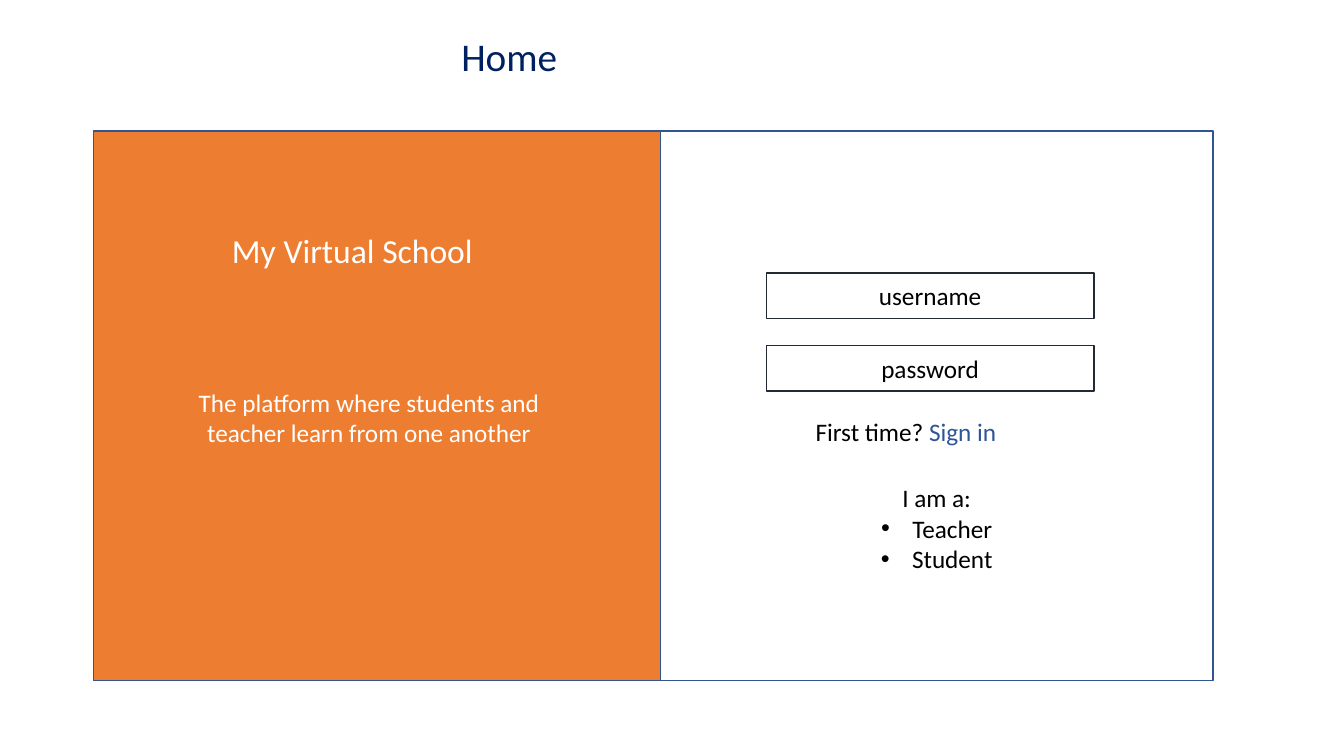
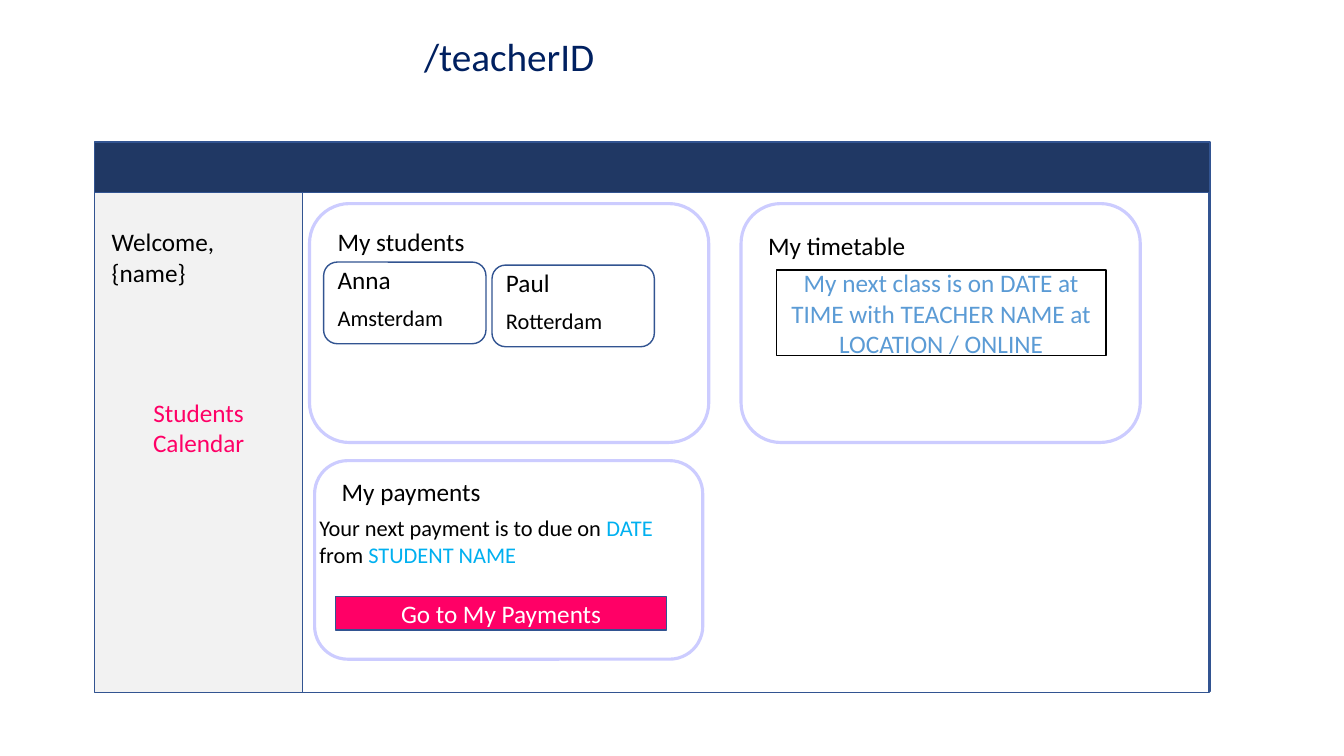
import pptx
import pptx.util
import pptx.dml.color
import pptx.enum.shapes
import pptx.enum.text
import lxml.etree

Inches = pptx.util.Inches
Pt = pptx.util.Pt
KIND = pptx.enum.shapes.MSO_SHAPE
ALIGN = pptx.enum.text.PP_ALIGN
ANCHOR = pptx.enum.text.MSO_ANCHOR

FONT = "Calibri"
COLORS = {
    "title": "002060", "edge": "325491", "orange": "ED7D31",
    "white": "FFFFFF", "black": "000000", "field": "222A35",
    "link": "2F5597", "navy": "203864", "side": "F2F2F2",
    "pink": "FF0066", "lilac": "CCCCFF", "note": "5B9BD5",
    "cyan": "00B0F0",
}


def color(name):
    return pptx.dml.color.RGBColor.from_string(COLORS[name])


def write(frame, lines, size=18, ink="black", align=ALIGN.LEFT):
    frame.word_wrap = True
    for i, line in enumerate(lines):
        para = frame.paragraphs[0] if i == 0 else frame.add_paragraph()
        para.alignment = align
        parts = [(line, ink)] if isinstance(line, str) else line
        for words, tint in parts:
            run = para.add_run()
            run.text = words
            run.font.name = FONT
            run.font.size = Pt(size)
            run.font.color.rgb = color(tint)


def label(slide, at, *lines, **style):
    box = slide.shapes.add_textbox(*map(Inches, at))
    write(box.text_frame, lines, **style)
    return box


def block(slide, at, *lines, fill="white", line="edge", width=1,
          kind=KIND.RECTANGLE, ink="black"):
    shape = slide.shapes.add_shape(kind, *map(Inches, at))
    shape.shadow.inherit = False
    if fill:
        shape.fill.solid()
        shape.fill.fore_color.rgb = color(fill)
    else:
        shape.fill.background()
    shape.line.color.rgb = color(line)
    shape.line.width = Pt(width)
    if lines:
        shape.text_frame.vertical_anchor = ANCHOR.MIDDLE
        write(shape.text_frame, lines, ink=ink, align=ALIGN.CENTER)
    return shape


def bullet(para):
    props = para._p.get_or_add_pPr()
    props.set("marL", str(Inches(0.31)))
    props.set("indent", str(-Inches(0.31)))
    space = "{http://schemas.openxmlformats.org/drawingml/2006/main}"
    lxml.etree.SubElement(props, space + "buFont").set("typeface", "Arial")
    lxml.etree.SubElement(props, space + "buChar").set("char", "\u2022")


def panel(slide, at):
    block(slide, at, fill=None, line="lilac", width=2.25,
          kind=KIND.ROUNDED_RECTANGLE)


def card(slide, left, top, name, town):
    block(slide, (left, top, 1.61, 0.81), kind=KIND.ROUNDED_RECTANGLE)
    label(slide, (left + 0.04, top - 0.03, 1.68, 0.4), name)
    label(slide, (left + 0.04, top + 0.37, 1.68, 0.37), town, size=16)


def page(deck, title):
    slide = deck.slides.add_slide(deck.slide_layouts[6])
    label(slide, (2.5, 0.27, 5.1, 0.57), title, size=28, ink="title",
          align=ALIGN.CENTER)
    return slide


def home(deck):
    slide = page(deck, "Home")
    block(slide, (0.93, 1.3, 11.06, 5.45), fill="orange")
    block(slide, (6.55, 1.3, 5.48, 5.45))
    role = label(slide, (6.55, 4.74, 5.48, 1.02), "I am a:", "Teacher",
                 "Student", align=ALIGN.CENTER)
    for para in role.text_frame.paragraphs[1:]:
        bullet(para)
    for i, name in enumerate(("username", "password")):
        block(slide, (7.6, 2.71 + 0.72 * i, 3.25, 0.45), name, line="field")
    label(slide, (2.17, 2.23, 2.65, 0.5), "My Virtual School", size=24,
          ink="white", align=ALIGN.CENTER)
    label(slide, (1.83, 3.79, 3.66, 0.71),
          "The platform where students and teacher learn from one another",
          ink="white", align=ALIGN.CENTER)
    label(slide, (7.99, 4.08, 2.61, 0.4),
          [("First time? ", "black"), ("Sign in", "link")])


def teacher(deck):
    slide = page(deck, "/teacherID")
    block(slide, (0.94, 1.41, 11.06, 5.45), fill="navy")
    block(slide, (3, 1.91, 8.99, 4.96))
    menu = block(slide, (0.94, 1.91, 2.06, 4.96), "Students", "Calendar",
                 fill="side", ink="pink")
    menu.text_frame.margin_bottom = Inches(0.35)
    label(slide, (1.01, 2.2, 1.78, 0.71), "Welcome, {name}")

    panel(slide, (3.07, 2.02, 3.96, 2.37))
    label(slide, (3.25, 2.2, 1.68, 0.4), "My students")
    card(slide, 3.21, 2.6, "Anna", "Amsterdam")
    card(slide, 4.88, 2.63, "Paul", "Rotterdam")

    panel(slide, (7.35, 2.02, 3.96, 2.37))
    label(slide, (7.52, 2.24, 1.68, 0.4), "My timetable")
    block(slide, (7.7, 2.68, 3.27, 0.85),
          "My next class is on DATE at TIME with TEACHER NAME at "
          "LOCATION / ONLINE", line="black", ink="note")

    panel(slide, (3.12, 4.57, 3.85, 1.97))
    label(slide, (3.29, 4.68, 1.68, 0.5), "My payments")
    label(slide, (3.07, 5.05, 3.85, 0.79),
          [("Your next payment is to due on ", "black"), ("DATE ", "cyan"),
           ("from ", "black"), ("STUDENT NAME", "cyan")], size=16)
    block(slide, (3.33, 5.92, 3.28, 0.33), "Go to My Payments",
          fill="pink", ink="white")


def main():
    deck = pptx.Presentation()
    deck.slide_width = Inches(13.33)
    deck.slide_height = Inches(7.5)
    home(deck)
    teacher(deck)
    deck.save("out.pptx")


main()
